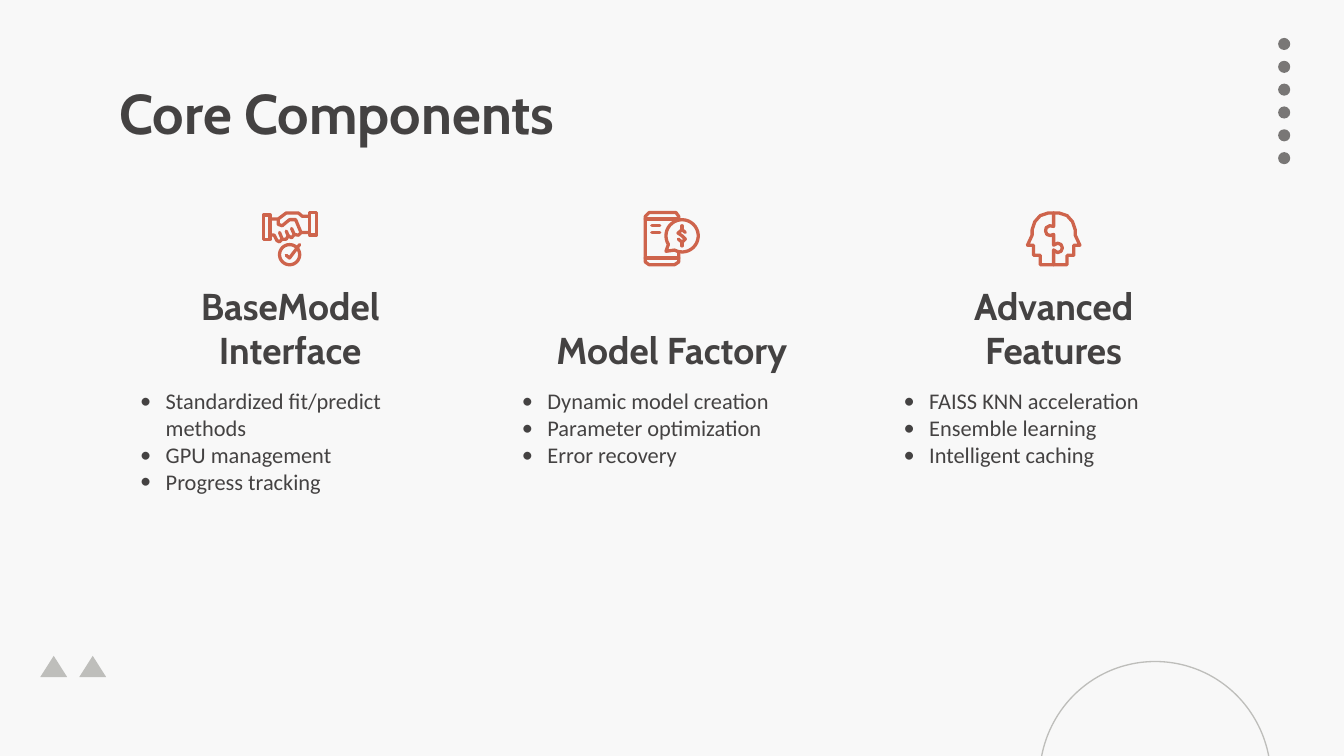
from math import cos, radians, sin

from lxml.etree import SubElement
from pptx import Presentation
from pptx.dml.color import RGBColor
from pptx.enum.shapes import MSO_SHAPE
from pptx.enum.text import MSO_ANCHOR, MSO_AUTO_SIZE, PP_ALIGN
from pptx.oxml.ns import qn
from pptx.util import Inches, Pt

INK, ACCENT, GREY, DOT, PAPER = "444242", "CE644C", "BEBEBB", "797776", "F8F8F8"
COLUMN_LEFT, COLUMN_STEP, COLUMN_WIDTH = 9.45, 28.4, 24.3
ICON_LEFT, ICON_TOP = 19.5, 27.91


def color(value):
    """Turn a hex string into a colour."""
    return RGBColor.from_string(value)


def write(paragraph, text, font="Calibri", size=12, bold=False, align=PP_ALIGN.LEFT, bullet=False):
    """Put formatted text in a paragraph, with a hanging bullet if asked."""
    paragraph.alignment = align
    if bullet:
        properties = paragraph._p.get_or_add_pPr()
        properties.set("marL", str(Inches(0.19)))
        properties.set("indent", str(-Inches(0.19)))
        bullet_color = SubElement(properties, qn("a:buClr"))
        SubElement(bullet_color, qn("a:srgbClr"), val=INK)
        SubElement(properties, qn("a:buFont"), typeface=font)
        SubElement(properties, qn("a:buChar"), char="•")
    run = paragraph.add_run()
    run.text = text
    run.font.name, run.font.size, run.font.bold = font, Pt(size), bold
    run.font.color.rgb = color(INK)


def arc(center_x, center_y, radius, start, end, steps=32):
    """List points along an arc, with angles in degrees."""
    angles = [radians(start + (end - start) * step / steps) for step in range(steps + 1)]
    return [(center_x + radius * cos(angle), center_y + radius * sin(angle)) for angle in angles]


class SlideBuilder:
    """Place elements on one slide, with lengths as percentages of its size."""

    def __init__(self, presentation):
        """Start a title-only slide on the paper colour."""
        self.width, self.height = presentation.slide_width, presentation.slide_height
        self.slide = presentation.slides.add_slide(presentation.slide_layouts[5])
        self.slide.background.fill.solid()
        self.slide.background.fill.fore_color.rgb = color(PAPER)

    def box(self, left, top, width, height):
        """Convert percentages to slide lengths."""
        return [int(share * whole / 100) for share, whole in
                zip((left, top, width, height), (self.width, self.height) * 2)]

    def prepare(self, frame, anchor):
        """Set the insets, wrapping and anchor of a text frame."""
        frame.word_wrap, frame.auto_size = True, MSO_AUTO_SIZE.NONE
        frame.vertical_anchor = anchor
        frame.margin_left = frame.margin_right = Inches(0.1)
        frame.margin_top = frame.margin_bottom = Inches(0.1)

    def title(self, text, *place):
        """Move and fill the title placeholder."""
        shape = self.slide.shapes.title
        shape.left, shape.top, shape.width, shape.height = self.box(*place)
        self.prepare(shape.text_frame, MSO_ANCHOR.TOP)
        write(shape.text_frame.paragraphs[0], text, font="Cabin", size=30, bold=True)

    def text(self, lines, *place, anchor=MSO_ANCHOR.TOP, **style):
        """Add a text box with one paragraph for each line."""
        frame = self.slide.shapes.add_textbox(*self.box(*place)).text_frame
        self.prepare(frame, anchor)
        for number, line in enumerate(lines):
            paragraph = frame.add_paragraph() if number else frame.paragraphs[0]
            write(paragraph, line, **style)

    def shape(self, kind, *place, fill=None, line=None, weight=0.7):
        """Add a preset shape, filled or outlined."""
        shape = self.slide.shapes.add_shape(kind, *self.box(*place))
        shape.shadow.inherit = False
        for part, value in ((shape.fill, fill), (shape.line.fill, line)):
            if value:
                part.solid()
                part.fore_color.rgb = color(value)
            else:
                part.background()
        if line:
            shape.line.width = Pt(weight)

    def stroke(self, points, left, top):
        """Draw a rounded line through points in hundredths of an inch."""
        fine = [(x * 100, y * 100) for x, y in points]
        builder = self.slide.shapes.build_freeform(*fine[0], scale=Inches(1) / 10000)
        builder.add_line_segments(fine[1:], close=False)
        shape = builder.convert_to_shape(*self.box(left, top, 0, 0)[:2])
        shape.shadow.inherit = False
        shape.fill.background()
        shape.line.color.rgb = color(ACCENT)
        shape.line.width = Pt(1.75)
        outline = shape.line._get_or_add_ln()
        outline.set("cap", "rnd")
        SubElement(outline, qn("a:round"))


HANDSHAKE = [
    [(1, 3), (6, 3), (6, 21), (1, 21), (1, 3)],
    [(35.5, 1), (40.5, 1), (40.5, 18), (35.5, 18), (35.5, 1)],
    [(6, 6), (12, 6), (18, 1.5), (27, 1.5), (30, 4), (35, 4)],
    [(12, 6), (12, 10), (15, 11), (20.5, 6.5), (25, 6.5), (29, 16), (35, 16)],
    [(6, 18), (9, 18), (11, 22), (13, 23), (15, 21), (13, 16)],
    [(15, 21), (18, 21), (19.5, 18.5), (18, 15)],
    [(19.5, 18.5), (22, 20), (24, 17.5), (22, 13)],
    [(24, 17.5), (27, 18), (29, 16)],
    arc(20.5, 32.5, 7.5, 0, 360),
    [(18, 33), (20.5, 35), (28, 25)],
]
PHONE = [
    [(26, 6), (26, 4), (24, 1.2), (4, 1.2), (1.2, 4), (1.2, 38), (4, 40), (23, 40), (26, 38), (26, 31)],
    [(1.2, 6), (26, 6)],
    [(1.2, 35), (26, 35)],
    [(6, 11), (12, 11)],
    [(6, 16), (12, 16)],
    [(16.5, 30)] + arc(28.5, 18.5, 12, 118, -212) + [(16.5, 30)],
    [(31, 16), (28.5, 14), (25.5, 16.5), (28.5, 18.5), (31, 21), (28.5, 23.3), (25.8, 21)],
    [(28.5, 11), (28.5, 14)],
    [(28.5, 23.3), (28.5, 26)],
]
FACE = [(21, 1.5), (25, 1.5), (31, 3.5), (35, 8), (37, 14), (37, 18), (40.5, 25.5),
        (36, 25.5), (36, 33), (31, 33), (31, 40), (21, 40)]
HEADS = [
    FACE,
    [(42 - x, y) for x, y in FACE],
    [(21, 1.5), (21, 11.5), (18, 11), (15.5, 12.5), (15, 15), (16, 17.5), (18.5, 18.3),
     (21, 17.5), (21, 25.5), (24, 24), (26.5, 25), (27.5, 27.5), (26.5, 30), (24, 31),
     (21, 29), (21, 40)],
]
COMPONENTS = [
    ("BaseModel Interface", HANDSHAKE,
     ["Standardized fit/predict methods", "GPU management", "Progress tracking"]),
    ("Model Factory", PHONE,
     ["Dynamic model creation", "Parameter optimization", "Error recovery"]),
    ("Advanced Features", HEADS,
     ["FAISS KNN acceleration", "Ensemble learning", "Intelligent caching"]),
]


def main():
    """Build the core components slide."""
    presentation = Presentation()
    presentation.slide_width, presentation.slide_height = Inches(10), Inches(5.625)
    builder = SlideBuilder(presentation)

    builder.shape(MSO_SHAPE.OVAL, 77.35, 87.5, 17.2, 30.8, line=GREY)
    for row in range(6):
        builder.shape(MSO_SHAPE.OVAL, 95.1, 5.02 + 3.02 * row, 0.9, 1.6, fill=DOT)
    for left in (3, 5.9):
        builder.shape(MSO_SHAPE.ISOSCELES_TRIANGLE, left, 86.76, 2, 2.8, fill=GREY)

    builder.title("Core Components", 7.88, 8.65, 84.3, 11.2)
    for column, (heading, icon, points) in enumerate(COMPONENTS):
        offset = COLUMN_STEP * column
        left = COLUMN_LEFT + offset
        builder.text([heading], left, 37.35, COLUMN_WIDTH, 13.7, anchor=MSO_ANCHOR.BOTTOM,
                     font="Cabin", size=20, bold=True, align=PP_ALIGN.CENTER)
        builder.text(points, left, 49.45, COLUMN_WIDTH, 34.15, bullet=True)
        for line in icon:
            builder.stroke(line, ICON_LEFT + offset, ICON_TOP)

    presentation.save("out.pptx")


if __name__ == "__main__":
    main()
